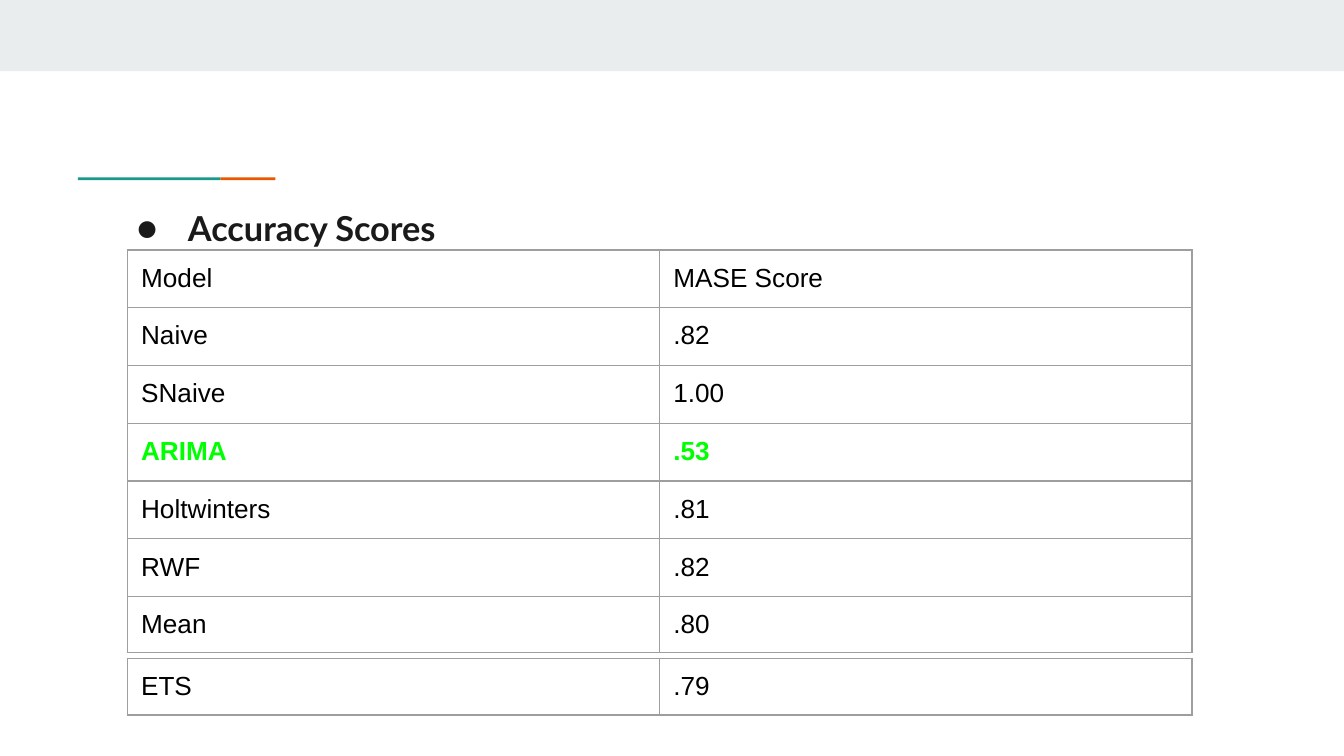
"""Build the accuracy scores slide."""
from lxml import etree
from pptx import Presentation
from pptx.dml.color import RGBColor
from pptx.enum import shapes
from pptx.oxml.ns import qn
from pptx.util import Inches, Pt

BAND = RGBColor(0xE9, 0xED, 0xEE)
TEAL = RGBColor(0x1A, 0x99, 0x88)
ORANGE = RGBColor(0xEB, 0x56, 0x00)
INK = RGBColor(0x1A, 0x1A, 0x1A)
BLACK = RGBColor(0, 0, 0)
GREEN = RGBColor(0, 0xFF, 0)
GRID = RGBColor(0x9E, 0x9E, 0x9E)

SCORES = [
    ("Model", "MASE Score"),
    ("Naive", ".82"),
    ("SNaive", "1.00"),
    ("ARIMA", ".53"),
    ("Holtwinters", ".81"),
    ("RWF", ".82"),
    ("Mean", ".80"),
]
BEST = "ARIMA"


def add_bar(s, x, y, w, h, color):
    """Add a plain filled rectangle."""
    sp = s.shapes.add_shape(shapes.MSO_SHAPE.RECTANGLE, Inches(x), Inches(y), Inches(w), Inches(h))
    sp.shadow.inherit = False
    sp.fill.solid()
    sp.fill.fore_color.rgb = color
    sp.line.fill.background()


def set_margins(box, bottom=0.1):
    """Set the inner margins of a text frame or cell."""
    box.margin_left = box.margin_right = box.margin_top = Inches(0.1)
    box.margin_bottom = Inches(bottom)


def set_font(p, name, size, color, bold=False):
    """Set the font of a paragraph."""
    p.font.name = name
    p.font.size = Pt(size)
    p.font.color.rgb = color
    p.font.bold = bold


def add_bullet(p, color, font):
    """Give a paragraph a hanging round bullet."""
    pPr = p._p.get_or_add_pPr()
    pPr.set("marL", str(Inches(0.5)))
    pPr.set("indent", str(Inches(-0.38)))
    clr = etree.Element(qn("a:buClr"))
    etree.SubElement(clr, qn("a:srgbClr"), val=str(color))
    face = etree.Element(qn("a:buFont"), typeface=font)
    char = etree.Element(qn("a:buChar"), char="●")
    for i, element in enumerate((clr, face, char)):
        pPr.insert(i, element)


def add_heading(s, label):
    """Add the bulleted heading."""
    tf = s.shapes.add_textbox(Inches(0.8), Inches(1.44), Inches(8.41), Inches(0.59)).text_frame
    tf.word_wrap = True
    set_margins(tf)
    p = tf.paragraphs[0]
    p.text = label
    set_font(p, "Lato", 18.4, INK, True)
    add_bullet(p, INK, "Lato")


def set_borders(cell):
    """Draw a thin line on all four sides of a cell."""
    tcPr = cell._tc.get_or_add_tcPr()
    for i, side in enumerate(("lnL", "lnR", "lnT", "lnB")):
        ln = etree.Element(qn(f"a:{side}"), w=str(Pt(0.75)))
        fill = etree.SubElement(ln, qn("a:solidFill"))
        etree.SubElement(fill, qn("a:srgbClr"), val=str(GRID))
        tcPr.insert(i, ln)


def add_scores(s, y, rows, heights):
    """Add a two-column score table with the best model highlighted."""
    frame = s.shapes.add_table(len(rows), 2, Inches(0.95), Inches(y), Inches(7.92), Inches(sum(heights)))
    table = frame.table
    table.first_row = table.horz_banding = False
    for row, values, height in zip(table.rows, rows, heights):
        row.height = Inches(height)
        best = values[0] == BEST
        for cell, value in zip(row.cells, values):
            cell.fill.background()
            set_margins(cell, bottom=0.08)
            set_borders(cell)
            cell.text = value
            set_font(cell.text_frame.paragraphs[0], "Arial", 14, GREEN if best else BLACK, best)


def main():
    """Build and save the slide."""
    prs = Presentation()
    prs.slide_width = Inches(10)
    prs.slide_height = prs.slide_width * 9 // 16
    s = prs.slides.add_slide(prs.slide_layouts[6])
    add_bar(s, 0, 0, 10, 0.53, BAND)
    add_bar(s, 1.64, 1.32, 0.41, 0.02, ORANGE)
    add_bar(s, 0.58, 1.32, 1.06, 0.02, TEAL)
    add_heading(s, "Accuracy Scores")
    add_scores(s, 1.86, SCORES, [0.43] * 6 + [0.41])
    add_scores(s, 4.9, [("ETS", ".79")], [0.42])
    prs.save("out.pptx")


if __name__ == "__main__":
    main()
